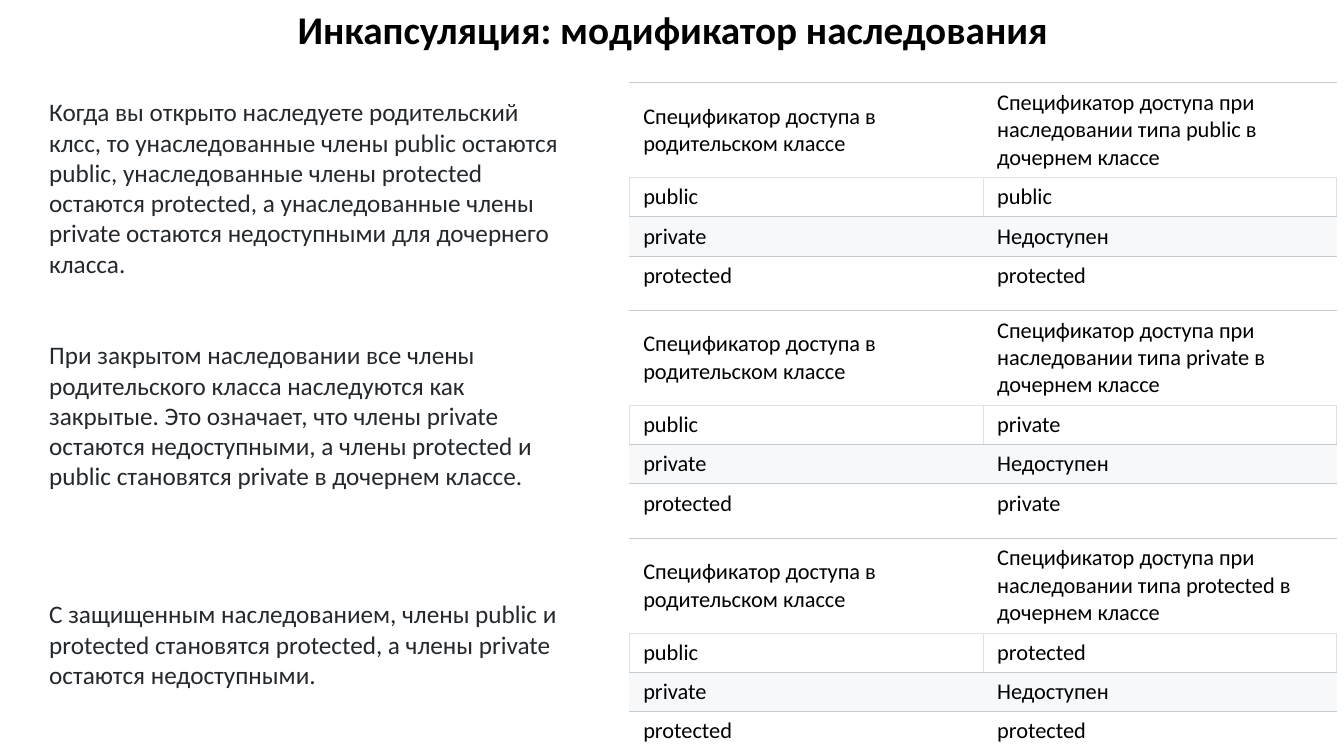
from lxml.etree import SubElement
from pptx import Presentation
from pptx.dml.color import RGBColor
from pptx.enum.text import MSO_ANCHOR, PP_ALIGN
from pptx.oxml.ns import qn
from pptx.util import Emu, Pt

SCALE = 9144  # EMU in one px, 100 px to the inch
DARK, LIGHT = "C6CBD1", "DFE2E5"


def px(n):
    return Emu(n * SCALE)


def color(code):
    return RGBColor.from_string(code)


def write(frame, text, size=18, ink="24292E", bold=False, align=None):
    par = frame.paragraphs[0]
    par.alignment = align
    run = par.add_run()
    run.text = text
    font = run.font
    font.name, font.size, font.bold = "Calibri", Pt(size), bold
    font.color.rgb = color(ink)


class Deck:
    # Line colours by row: left, right, top, bottom
    edges = [
        (None, None, DARK, LIGHT),
        (LIGHT, LIGHT, LIGHT, DARK),
        (None, None, DARK, DARK),
        (None, None, DARK, None),
    ]
    fills = ["FFFFFF", "FFFFFF", "F6F8FA", "FFFFFF"]
    heights = [94, 39, 39, 39]

    def __init__(self):
        self.prs = Presentation()
        self.prs.slide_width, self.prs.slide_height = px(1333), px(750)
        self.slide = self.prs.slides.add_slide(self.prs.slide_layouts[6])

    def text(self, left, top, width, height, words, wrap=True, **style):
        box = self.slide.shapes.add_textbox(*map(px, (left, top, width, height)))
        box.text_frame.word_wrap = wrap
        write(box.text_frame, words, **style)

    def border(self, cell, edge):
        props = cell._tc.get_or_add_tcPr()
        for i, (side, code) in enumerate(zip("LRTB", edge)):
            line = SubElement(props, qn(f"a:ln{side}"), w=str(Pt(0.75)))
            if code:
                fill = SubElement(line, qn("a:solidFill"))
                SubElement(fill, qn("a:srgbClr"), val=code)
            else:
                SubElement(line, qn("a:noFill"))
            props.insert(i, line)

    def table(self, left, top, width, rows):
        frame = self.slide.shapes.add_table(
            len(rows), 2, px(left), px(top), px(width), px(sum(self.heights)))
        table = frame.table
        table.first_row = table.horz_banding = False
        for r, row in enumerate(rows):
            table.rows[r].height = px(self.heights[r])
            for c, words in enumerate(row):
                cell = table.cell(r, c)
                cell.margin_left = cell.margin_right = px(14)
                cell.margin_top = cell.margin_bottom = px(6)
                cell.vertical_anchor = MSO_ANCHOR.MIDDLE
                cell.fill.solid()
                cell.fill.fore_color.rgb = color(self.fills[r])
                self.border(cell, self.edges[r])
                write(cell.text_frame, words, size=16, ink="000000")


# Inheritance type, access of public and protected members, note, note top and height
KINDS = [
    ("public", "public", "protected",
     "Когда вы открыто наследуете родительский клсс, то унаследованные члены "
     "public остаются public, унаследованные члены protected остаются protected, "
     "а унаследованные члены private остаются недоступными для дочернего класса.",
     91, 192),
    ("private", "private", "private",
     "При закрытом наследовании все члены родительского класса наследуются как "
     "закрытые. Это означает, что члены private остаются недоступными, а члены "
     "protected и public становятся private в дочернем классе.",
     332, 162),
    ("protected", "protected", "protected",
     "С защищенным наследованием, члены public и protected становятся protected, "
     "а члены private остаются недоступными.",
     589, 101),
]


def main():
    deck = Deck()

    # Title
    deck.text(281, 0, 772, 57, "Инкапсуляция: модификатор наследования",
              wrap=False, size=28, ink="000000", bold=True, align=PP_ALIGN.CENTER)

    # One note and one table for each inheritance type
    for i, (kind, pub, prot, note, top, height) in enumerate(KINDS):
        deck.text(39, top, 536, height, note)
        deck.table(624, 82 + 226 * i, 702, [
            ("Спецификатор доступа в родительском классе",
             f"Спецификатор доступа при наследовании типа {kind} в дочернем классе"),
            ("public", pub),
            ("private", "Недоступен"),
            ("protected", prot),
        ])

    deck.prs.save("out.pptx")


if __name__ == "__main__":
    main()
